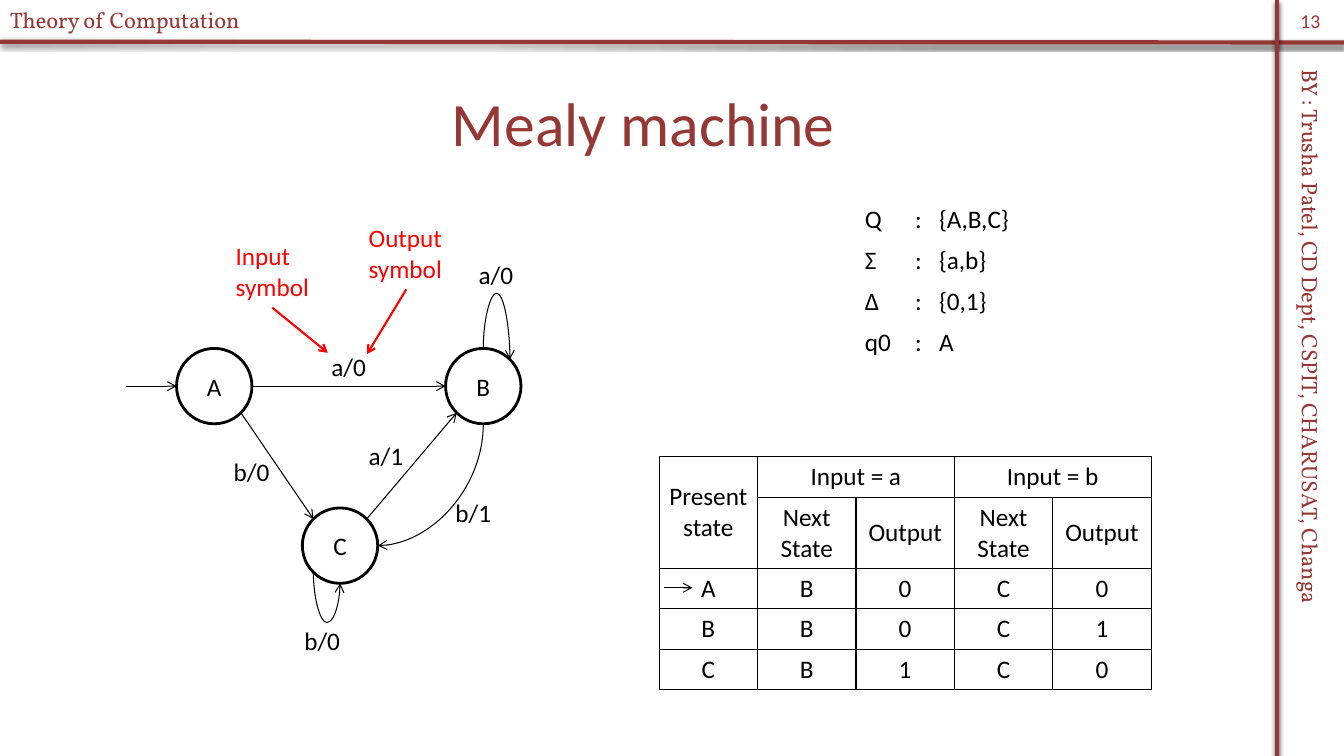
from dataclasses import dataclass
from math import cos, radians, sin
from typing import NamedTuple

from lxml.etree import SubElement
from pptx import Presentation
from pptx.dml.color import RGBColor
from pptx.enum.shapes import MSO_CONNECTOR, MSO_SHAPE
from pptx.enum.text import MSO_ANCHOR, MSO_AUTO_SIZE, PP_ALIGN
from pptx.oxml import parse_xml
from pptx.oxml.ns import nsdecls, qn
from pptx.util import Cm, Pt

BLACK, RED, MAROON, WHITE = "000000", "FF0000", "953735", "FFFFFF"
WIDTH, HEIGHT = 33.87, 19.05
RADIUS = 0.95


class Point(NamedTuple):
    """A place on the slide, in cm."""
    x: float
    y: float


@dataclass
class State:
    """A state circle of the machine, by name and centre in cm."""
    name: str
    x: float
    y: float

    def at(self, angle: float) -> Point:
        """Return the rim point at an angle, counterclockwise from the right."""
        a = radians(angle)
        return Point(self.x + RADIUS * cos(a), self.y - RADIUS * sin(a))


class Label(NamedTuple):
    """A text box: lines of text, place and size in cm, and font."""
    text: str
    x: float
    y: float
    w: float = 1.4
    h: float = 1.02
    color: str = BLACK
    size: int = 18
    font: str = "Calibri"
    rotation: float = 0


class Arrow(NamedTuple):
    """A straight arrow."""
    start: Point
    end: Point
    color: str = BLACK
    width: float = 0.75


class Curve(NamedTuple):
    """A curved arrow with its preset, turn, flip and bend."""
    start: Point
    end: Point
    preset: str
    rotation: int
    flip: bool = False
    bend: float = 0


def rgb(color: str) -> RGBColor:
    """Turn a hex string into a colour."""
    return RGBColor.from_string(color)


def style(p, size: float, color: str, font: str = "Calibri", align=PP_ALIGN.LEFT) -> None:
    """Format a whole paragraph."""
    p.font.size, p.font.name = Pt(size), font
    p.font.color.rgb = rgb(color)
    p.alignment = align


def draw_line(s, start: Point, end: Point, color: str, width: float, head=True,
              kind=MSO_CONNECTOR.STRAIGHT):
    """Draw a connector without a shadow, with an optional arrowhead."""
    sp = s.shapes.add_connector(kind, *(Cm(v) for v in (*start, *end)))
    sp.line.color.rgb, sp.line.width = rgb(color), Pt(width)
    if head:
        SubElement(sp.line._get_or_add_ln(), qn("a:tailEnd"), type="arrow")
    SubElement(sp._element.spPr, qn("a:effectLst"))
    return sp


def draw_rule(s, start: Point, end: Point) -> None:
    """Draw a thick frame rule with a soft shadow below it."""
    sp = draw_line(s, start, end, MAROON, 3, head=False)
    sp._element.spPr.find(qn("a:effectLst")).append(parse_xml(
        f'<a:outerShdw {nsdecls("a")} blurRad="{Pt(3.1)}" dist="{Pt(1.8)}" dir="5400000" '
        'rotWithShape="0"><a:srgbClr val="000000"><a:alpha val="70000"/></a:srgbClr>'
        '</a:outerShdw>'))


def draw_curve(s, c: Curve) -> None:
    """Draw a curved arrow turned by a quarter, so its box has its sides swapped."""
    w, h = abs(c.end.y - c.start.y), abs(c.end.x - c.start.x)
    x, y = (c.start.x + c.end.x - w) / 2, (c.start.y + c.end.y - h) / 2
    sp = draw_line(s, Point(x, y), Point(x + w, y + h), BLACK, 0.75, kind=MSO_CONNECTOR.CURVE)
    xfrm = sp._element.spPr.find(qn("a:xfrm"))
    xfrm.set("rot", str(c.rotation * 60000))
    if c.flip:
        xfrm.set("flipH", "1")
    geom = sp._element.spPr.find(qn("a:prstGeom"))
    geom.set("prst", c.preset)
    if c.bend:
        guides = geom.find(qn("a:avLst"))
        SubElement(guides, qn("a:gd"), name="adj1", fmla=f"val {round(c.bend * 100000)}")


def draw_state(s, state: State) -> None:
    """Draw a state circle with its name."""
    sp = s.shapes.add_shape(MSO_SHAPE.OVAL, Cm(state.x - RADIUS), Cm(state.y - RADIUS),
                            Cm(2 * RADIUS), Cm(2 * RADIUS))
    sp.shadow.inherit = False
    sp.fill.solid()
    sp.fill.fore_color.rgb = rgb(WHITE)
    sp.line.color.rgb, sp.line.width = rgb(BLACK), Pt(2)
    tf = sp.text_frame
    tf.text, tf.vertical_anchor = state.name, MSO_ANCHOR.MIDDLE
    style(tf.paragraphs[0], 18, BLACK, align=PP_ALIGN.CENTER)


def draw_label(s, label: Label) -> None:
    """Draw a text box that does not wrap."""
    sp = s.shapes.add_textbox(Cm(label.x), Cm(label.y), Cm(label.w), Cm(label.h))
    sp.rotation = label.rotation
    tf = sp.text_frame
    tf.word_wrap, tf.auto_size = False, MSO_AUTO_SIZE.SHAPE_TO_FIT_TEXT
    tf.text = label.text
    for p in tf.paragraphs:
        style(p, label.size, label.color, label.font)


def draw_table(s, x: float, y: float, widths: list[float], heights: list[float],
               rows: list[list[str]], align=PP_ALIGN.LEFT):
    """Draw a table without fills and return it."""
    table = s.shapes.add_table(len(rows), len(widths), Cm(x), Cm(y),
                               Cm(sum(widths)), Cm(sum(heights))).table
    table.first_row = table.horz_banding = False
    for column, width in zip(table.columns, widths):
        column.width = Cm(width)
    for row, height, texts in zip(table.rows, heights, rows):
        row.height = Cm(height)
        for cell, text in zip(row.cells, texts):
            cell.text = text
            cell.fill.background()
            for p in cell.text_frame.paragraphs:
                style(p, 18, BLACK, align=align)
    return table


def add_border(cell) -> None:
    """Put a thin black line on the four sides of a cell."""
    for i, side in enumerate("LRTB"):
        cell._tc.get_or_add_tcPr().insert(i, parse_xml(
            f'<a:ln{side} {nsdecls("a")} w="{Pt(1)}"><a:solidFill>'
            f'<a:srgbClr val="{BLACK}"/></a:solidFill></a:ln{side}>'))


prs = Presentation()
prs.slide_width, prs.slide_height = Cm(WIDTH), Cm(HEIGHT)
s = prs.slides.add_slide(prs.slide_layouts[5])

title = s.shapes.title
title.left, title.top, title.width, title.height = Cm(0.56), Cm(1.47), Cm(31.32), Cm(3.18)
title.text_frame.text = "Mealy machine"
title.text_frame.vertical_anchor = MSO_ANCHOR.MIDDLE
style(title.text_frame.paragraphs[0], 44, MAROON, align=PP_ALIGN.CENTER)

draw_rule(s, Point(0, 1.05), Point(WIDTH, 1.07))
draw_rule(s, Point(32.18, 0), Point(32.18, HEIGHT))

number = s.shapes.add_textbox(Cm(32.18), Cm(0), Cm(1.69), Cm(1.02)).text_frame
number.text, number.word_wrap, number.vertical_anchor = "13", True, MSO_ANCHOR.MIDDLE
style(number.paragraphs[0], 14, MAROON, align=PP_ALIGN.CENTER)

a, b, c = State("A", 5.4, 9.73), State("B", 12.18, 9.73), State("C", 8.57, 13.75)
for state in (a, b, c):
    draw_state(s, state)

for arrow in (
    Arrow(Point(3.18, a.y), a.at(180)),
    Arrow(a.at(0), b.at(180)),
    Arrow(a.at(315), c.at(135)),
    Arrow(c.at(45), b.at(225)),
    Arrow(Point(6.86, 7.75), Point(8.26, 8.89), RED, 1.5),
    Arrow(Point(10.24, 7.29), Point(9.25, 8.92), RED, 1.5),
):
    draw_line(s, *arrow)

for curve in (
    Curve(b.at(270), c.at(0), "curvedConnector2", 90),
    Curve(b.at(90), b.at(45), "curvedConnector3", 270, True, -5),
    Curve(c.at(225), c.at(270), "curvedConnector3", 270, True, 4.55),
):
    draw_curve(s, curve)

for label in (
    Label("BY : Trusha Patel, CD Dept, CSPIT, CHARUSAT, Changa", 24.87, 9.19, 16.31, 0.94,
          MAROON, 16, "Vollkorn", 90),
    Label("Theory of Computation", 0, 0.03, 8.36, 0.94, MAROON, 16, "Vollkorn"),
    Label("a/0", 8.1, 8.74),
    Label("b/0", 5.64, 11.38),
    Label("b/0", 7.42, 15.62),
    Label("b/1", 11.23, 12.4),
    Label("a/1", 9.04, 10.97),
    Label("a/0", 11.81, 6.4),
    Label("Input\nsymbol", 5.69, 5.94, 2.39, 1.8, RED),
    Label("Output\nsymbol", 9.04, 5.49, 2.39, 1.8, RED),
):
    draw_label(s, label)

symbols = [["Q", "{A,B,C}"], ["Σ", "{a,b}"], ["Δ", "{0,1}"], ["q0", "A"]]
definition = draw_table(s, 21.54, 5.03, [1.27, 3], [1.03] * 4,
                        [[symbol, f":\t{value}"] for symbol, value in symbols])
for row in definition.rows:
    tabs = SubElement(row.cells[1].text_frame.paragraphs[0]._p.get_or_add_pPr(), qn("a:tabLst"))
    tabs.getparent().insert(0, tabs)
    SubElement(tabs, qn("a:tab"), pos=str(Cm(0.6)), algn="l")

transitions = draw_table(s, 16.61, 11.51, [2.48] * 5, [1.03, 1.78] + [1.02] * 3, [
    ["Present state", "Input = a", "", "Input = b", ""],
    ["", "Next State", "Output", "Next\nState", "Output"],
    *(list(line) for line in ("AB0C0", "BB0C1", "CB1C0")),
], PP_ALIGN.CENTER)
for cell in transitions.iter_cells():
    cell.vertical_anchor = MSO_ANCHOR.MIDDLE
    cell.margin_left = cell.margin_right = Cm(0.2)
    add_border(cell)
for first, last in (((0, 0), (1, 0)), ((0, 1), (0, 2)), ((0, 3), (0, 4))):
    transitions.cell(*first).merge(transitions.cell(*last))
draw_line(s, Point(16.74, 14.81), Point(17.45, 14.81), BLACK, 0.75)

prs.save("out.pptx")
